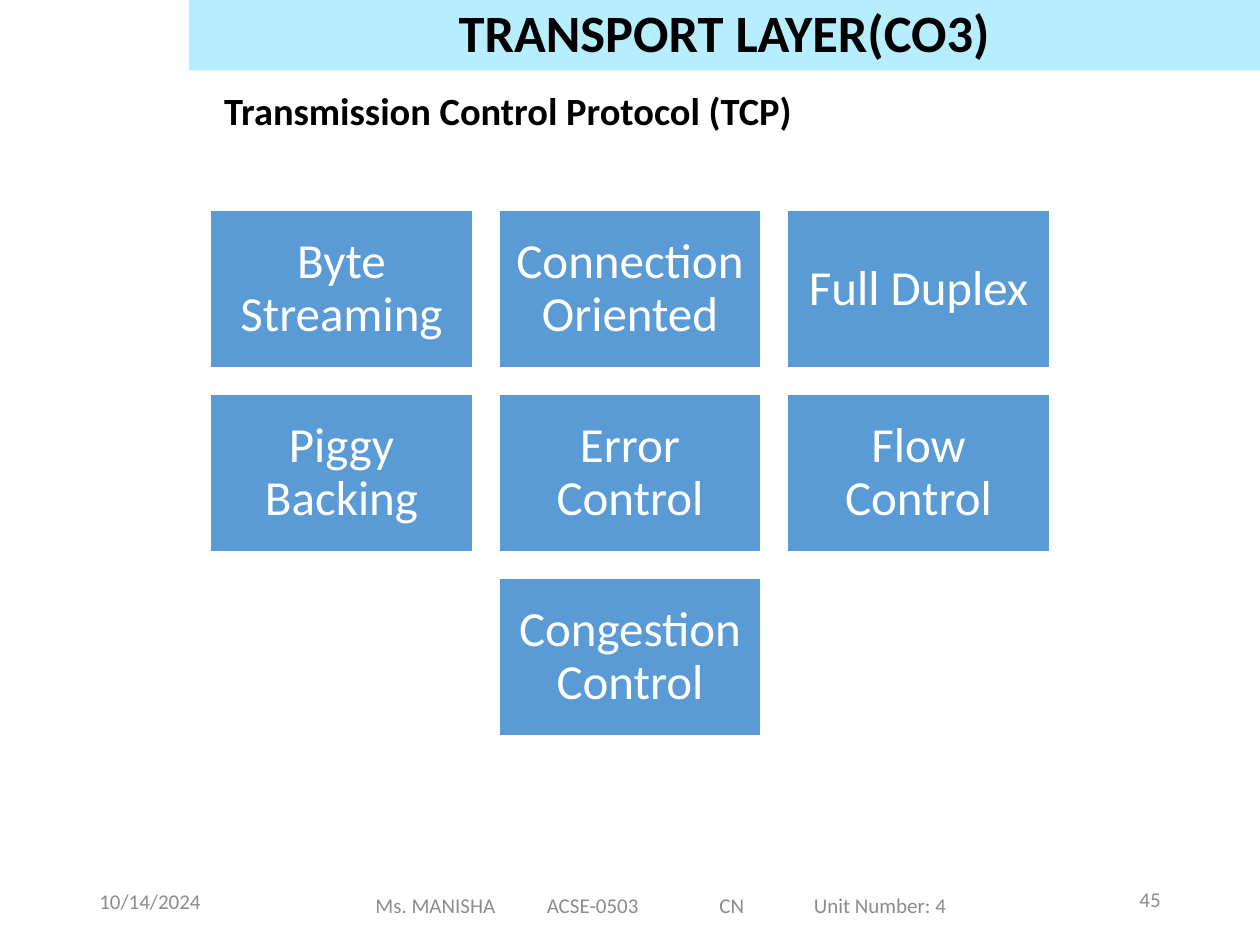
from lxml import etree
from pptx import Presentation
from pptx.dml.color import RGBColor
from pptx.enum.shapes import MSO_SHAPE
from pptx.enum.text import MSO_ANCHOR, PP_ALIGN
from pptx.oxml.ns import qn
from pptx.util import Inches, Pt

RECTANGLE = MSO_SHAPE.RECTANGLE
TOP, MIDDLE, BOTTOM = MSO_ANCHOR.TOP, MSO_ANCHOR.MIDDLE, MSO_ANCHOR.BOTTOM
LEFT, CENTER, RIGHT = PP_ALIGN.LEFT, PP_ALIGN.CENTER, PP_ALIGN.RIGHT

BLACK, WHITE, GREY = "000000", "FFFFFF", "8C8C8C"
BANNER_BLUE, TILE_BLUE = "B7EEFF", "5B9BD5"

# Tiles as (column, row, label)
FEATURES = [
    (0, 0, "Byte Streaming"), (1, 0, "Connection Oriented"), (2, 0, "Full Duplex"),
    (0, 1, "Piggy Backing"), (1, 1, "Error Control"), (2, 1, "Flow Control"),
    (1, 2, "Congestion Control"),
]
TILE_WIDTH, TILE_HEIGHT = 2.08, 1.25
GRID_LEFT, GRID_TOP, GRID_GAP = 1.67, 1.67, 0.21


def color(value):
    return RGBColor.from_string(value)


def add_tab_stops(para, stops):
    tab_list = etree.SubElement(para._p.get_or_add_pPr(), qn("a:tabLst"))
    for stop in stops:
        etree.SubElement(tab_list, qn("a:tab"), pos=str(Inches(stop)), algn="l")


def write_text(box, text, size=12, fill=GREY, bold=False, align=LEFT, anchor=MIDDLE,
               insets=(0.1, 0.05, 0.1, 0.05), spacing=None, tab_stops=()):
    frame = box.text_frame
    frame.word_wrap = True
    frame.vertical_anchor = anchor
    (frame.margin_left, frame.margin_top,
     frame.margin_right, frame.margin_bottom) = map(Inches, insets)
    para = frame.paragraphs[0]
    para.alignment = align
    if spacing:
        para.line_spacing = spacing
    if tab_stops:
        add_tab_stops(para, tab_stops)
    span = para.add_run()
    span.text = text
    span.font.name = "Calibri"
    span.font.size = Pt(size)
    span.font.bold = bold
    span.font.color.rgb = color(fill)


def add_text(page, text, left, top, width, height, **text_format):
    box = page.shapes.add_textbox(*map(Inches, (left, top, width, height)))
    write_text(box, text, **text_format)


def add_panel(page, text, left, top, width, height, panel_fill, outline=None, **text_format):
    panel = page.shapes.add_shape(RECTANGLE, *map(Inches, (left, top, width, height)))
    panel.shadow.inherit = False
    panel.fill.solid()
    panel.fill.fore_color.rgb = color(panel_fill)
    if outline:
        panel.line.color.rgb = color(outline)
        panel.line.width = Pt(1)
    else:
        panel.line.fill.background()
    write_text(panel, text, align=CENTER, spacing=0.9, **text_format)


def add_feature_tile(page, column, row, label):
    add_panel(page, label,
              GRID_LEFT + column * (TILE_WIDTH + GRID_GAP),
              GRID_TOP + row * (TILE_HEIGHT + GRID_GAP),
              TILE_WIDTH, TILE_HEIGHT, TILE_BLUE, outline=WHITE,
              size=28, fill=WHITE, insets=(0.12,) * 4)


def main():
    deck = Presentation()
    deck.slide_width, deck.slide_height = Inches(10), Inches(7.5)
    page = deck.slides.add_slide(deck.slide_layouts[6])

    # Title and subtitle
    add_panel(page, "TRANSPORT LAYER(CO3)", 1.5, 0, 8.5, 0.56, BANNER_BLUE,
              size=30, fill=BLACK, bold=True, anchor=BOTTOM)
    add_text(page, "Transmission Control Protocol (TCP)", 1.78, 0.64, 7.73, 0.5,
             size=22, fill=BLACK, bold=True, anchor=TOP, insets=(0,) * 4,
             spacing=Pt(30.2))

    # Protocol features
    for column, row, label in FEATURES:
        add_feature_tile(page, column, row, label)

    # Footer
    add_text(page, "10/14/2024", 0.69, 6.95, 1.13, 0.4)
    add_text(page, "Ms. MANISHA\tACSE-0503\tCN\tUnit Number: 4", 2.5, 6.98, 5.5, 0.4,
             insets=(0.48, 0.05, 0.1, 0.05), tab_stops=(1.36, 2.73, 3.48))
    add_text(page, "45", 8.69, 6.94, 0.62, 0.4, align=RIGHT)

    deck.save("out.pptx")


if __name__ == "__main__":
    main()
